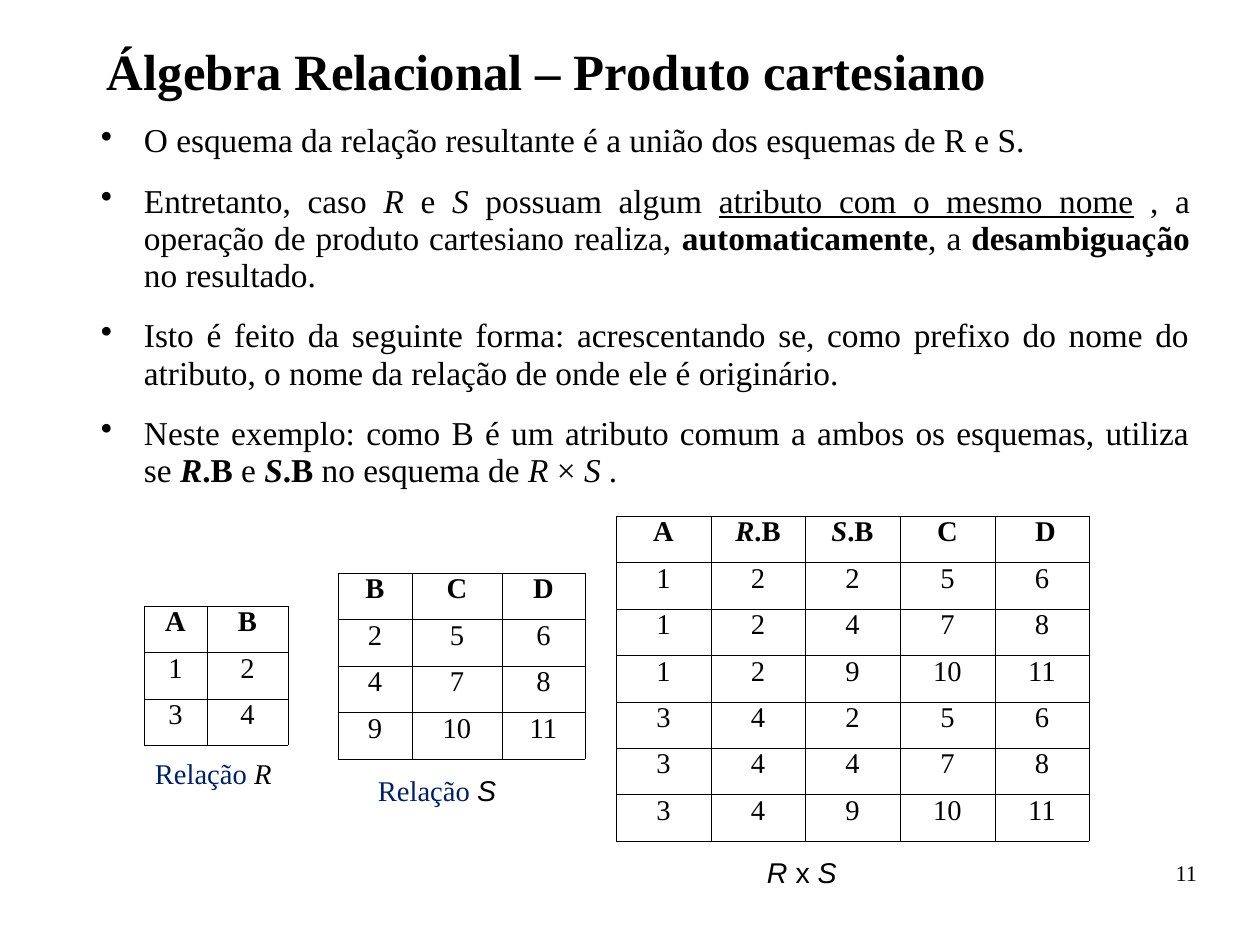
"""Builds the slide on the Cartesian product in relational algebra."""
from lxml import etree
from pptx import Presentation
from pptx.dml.color import RGBColor
from pptx.enum.text import MSO_ANCHOR, PP_ALIGN
from pptx.oxml.ns import qn
from pptx.util import Pt

PX = 8000
BLACK = RGBColor(0x00, 0x00, 0x00)
NAVY = RGBColor(0x00, 0x20, 0x60)
SERIF, SANS = "Times New Roman", "Arial"
LEFT, CENTER, RIGHT, JUSTIFY = PP_ALIGN.LEFT, PP_ALIGN.CENTER, PP_ALIGN.RIGHT, PP_ALIGN.JUSTIFY
TOP = MSO_ANCHOR.TOP

presentation = Presentation()
presentation.slide_width = 1260 * PX
presentation.slide_height = 945 * PX
slide = presentation.slides.add_slide(presentation.slide_layouts[6])


def add_text_frame(left, top, width, height, inset_x=0, inset_y=0):
    box = slide.shapes.add_textbox(left * PX, top * PX, width * PX, height * PX)
    frame = box.text_frame
    frame.word_wrap = True
    frame.vertical_anchor = TOP
    frame.margin_left = frame.margin_right = inset_x * PX
    frame.margin_top = frame.margin_bottom = inset_y * PX
    return frame


def write(paragraph, runs, size, align=LEFT, spacing=1.0, font=SERIF, color=BLACK, bold=None):
    paragraph.alignment = align
    paragraph.line_spacing = spacing
    paragraph.font.size = Pt(size)
    paragraph.font.name = font
    paragraph.font.color.rgb = color
    paragraph.font.bold = bold
    for text, style in runs:
        run = paragraph.add_run()
        run.text = text
        if "b" in style:
            run.font.bold = True
        if "i" in style:
            run.font.italic = True
        if "u" in style:
            run.font.underline = True


title = add_text_frame(107, 45, 1089, 76)
write(title.paragraphs[0], [("Álgebra Relacional – Produto cartesiano", "")], 32,
      spacing=0.93, bold=True)

bullets = [
    [("O esquema da relação resultante é a união dos esquemas de R e S.", "")],
    [("Entretanto, caso ", ""), ("R", "i"), (" e ", ""), ("S", "i"),
     (" possuam algum ", ""), ("atributo com o mesmo nome", "u"),
     (" , a operação de produto cartesiano realiza, ", ""), ("automaticamente", "b"),
     (", a ", ""), ("desambiguação", "b"), (" no resultado.", "")],
    [("Isto é feito da seguinte forma: acrescentando se, como prefixo do nome do "
      "atributo, o nome da relação de onde ele é originário.", "")],
    [("Neste exemplo: como B é um atributo comum a ambos os esquemas, utiliza se ", ""),
     ("R", "bi"), (".B", "b"), (" e ", ""), ("S", "bi"), (".B", "b"),
     (" no esquema de ", ""), ("R", "i"), (" × ", ""), ("S", "i"), (" .", "")],
]
body = add_text_frame(101, 121, 1089, 684, inset_y=2)
for index, runs in enumerate(bullets):
    paragraph = body.add_paragraph() if index else body.paragraphs[0]
    properties = paragraph._p.get_or_add_pPr()
    properties.set("marL", str(43 * PX))
    properties.set("indent", str(-43 * PX))
    etree.SubElement(properties, qn("a:buChar")).set("char", "•")
    paragraph.space_after = Pt(14.6)
    write(paragraph, runs, 21, JUSTIFY, 0.93)

page_number = add_text_frame(903, 861, 294, 65)
write(page_number.paragraphs[0], [("11", "")], 14, RIGHT, 0.95)

relation_r = [["A", "B"], ["1", "2"], ["3", "4"]]
relation_s = [["B", "C", "D"], ["2", "5", "6"], ["4", "7", "8"], ["9", "10", "11"]]
product = [["A", "R.B", "S.B", "C", " D"]]
product += [r + s for r in relation_r[1:] for s in relation_s[1:]]

tables = [
    (144, 606, 139, [63, 81], relation_r),
    (338, 573, 186, [74, 90, 83], relation_s),
    (616, 516, 325, [95, 94, 95, 95, 94], product),
]
for left, top, height, widths, rows in tables:
    table = slide.shapes.add_table(len(rows), len(widths), left * PX, top * PX,
                                   sum(widths) * PX, height * PX).table
    table.first_row = table.horz_banding = False
    for column, width in zip(table.columns, widths):
        column.width = width * PX
    for row_index, row in enumerate(rows):
        for column_index, value in enumerate(row):
            cell = table.cell(row_index, column_index)
            cell_properties = cell._tc.get_or_add_tcPr()
            for side in ("a:lnL", "a:lnR", "a:lnT", "a:lnB"):
                border = etree.SubElement(cell_properties, qn(side), w=str(Pt(0.06)))
                solid = etree.SubElement(border, qn("a:solidFill"))
                etree.SubElement(solid, qn("a:srgbClr"), val=str(BLACK))
            cell.fill.background()
            relation, dot, attribute = value.partition(".")
            runs = [(relation, "i"), (dot + attribute, "")] if dot else [(value, "")]
            write(cell.text_frame.paragraphs[0], runs, 18, CENTER, 0.8, bold=row_index == 0)

for left, top, name, font in ((144, 750, "R", SERIF), (367, 767, "S", SANS)):
    caption = add_text_frame(left, top, 162, 46, 11, 6).paragraphs[0]
    write(caption, [("Relação ", ""), (name, "i")], 18, color=NAVY)
    caption.runs[1].font.name = font
    caption.runs[1].font.color.rgb = BLACK

product_caption = add_text_frame(756, 849, 207, 46, 11, 6)
write(product_caption.paragraphs[0], [("R", "i"), (" x ", ""), ("S", "i")], 18, font=SANS)

presentation.save("out.pptx")
